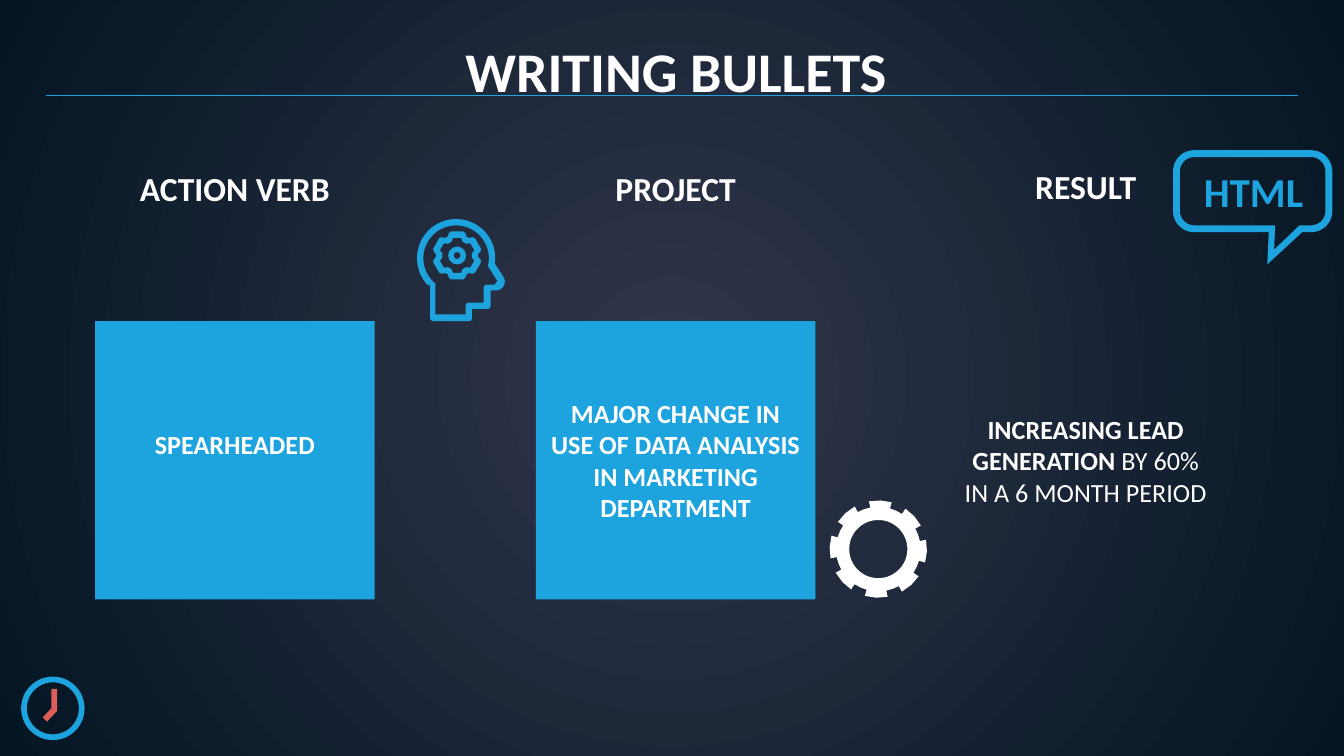
"""Build the slide on the three parts of a well written bullet."""
import math

import pptx
import pptx.dml.color
import pptx.enum.shapes
import pptx.enum.text
import pptx.oxml
import pptx.oxml.ns
import pptx.util

Cm = pptx.util.Cm
Shape = pptx.enum.shapes.MSO_SHAPE
Anchor = pptx.enum.text.MSO_ANCHOR

THEME = {
    "font": "Calibri",
    "glow": "32374C", "night": "041523",
    "accent": "1DA3DD", "hand": "DC5D59", "light": "FFFFFF",
    "title": 30, "tag": 22, "heading": 18, "body": 14, "rule": 0.75,
}

TITLE = "WRITING BULLETS"
TAG = "HTML"
COLUMNS = [
    {"heading": "ACTION VERB", "left": 1.8, "heading_top": 3.66, "fill": "accent",
     "body": [("SPEARHEADED", True)], "lift": 0.6},
    {"heading": "PROJECT", "left": 10.13, "heading_top": 3.66, "fill": "accent",
     "body": [("MAJOR CHANGE IN USE OF DATA ANALYSIS IN MARKETING DEPARTMENT", True)], "lift": 0},
    {"heading": "RESULT", "left": 17.88, "heading_top": 3.61, "fill": None,
     "body": [("INCREASING LEAD GENERATION ", True), ("BY 60% IN A 6 MONTH PERIOD", False)], "lift": 0},
]
BOX_TOP, BOX_WIDTH, BOX_HEIGHT, HEADING_HEIGHT = 6.07, 5.28, 5.26, 0.53
INSET = 0.25

# Outlines mix points (x, y) with arcs (x, y, radius, from, to), clockwise from the top.
CLOCK_HAND = [(0.97, 13.02), (0.97, 13.39), (0.81, 13.56), (0.89, 13.64), (1.08, 13.44), (1.08, 13.02)]
HEAD_OUTER = [
    (8.62, 4.88, 0.74, -134, 98), (9.37, 5.32, 0.17, 65, 180), (9.27, 5.49),
    (9.21, 5.78, 0.06, 90, 180), (8.92, 5.84), (8.86, 6.01, 0.06, 90, 180),
    (8.19, 6.01, 0.06, 180, 270), (8.13, 5.38),
]
HEAD_INNER = [
    (8.62, 4.88, 0.62, -135, 104), (9.4, 5.31), (9.35, 5.38),
    (9.2, 5.44, 0.06, 0, -90), (9.14, 5.72), (8.86, 5.78, 0.06, 0, -90),
    (8.8, 5.94), (8.23, 5.94), (8.23, 5.36),
]
BUBBLE = {"left": 22.57, "right": 24.78, "top": 3.24, "bottom": 3.99}
BUBBLE_EDGES = [
    (0.4, [(24.61, 4.39), (23.95, 5.0), (23.98, 4.39)]),
    (0.27, [(24.56, 4.26), (24.08, 4.72), (24.1, 4.26)]),
]
BRAIN_CENTRE, COG_CENTRE = (8.64, 4.83), (16.6, 10.38)
BRAIN_OUTER = [(-26, 0.4), (-20, 0.45), (-14.5, 0.47), (14.5, 0.47), (20, 0.45), (26, 0.4)]
BRAIN_INNER = [(-22, 0.28), (-13, 0.34), (13, 0.34), (22, 0.28)]
COG_TEETH = [(-11, 0.8), (-11, 0.92), (2.5, 0.92), (16, 0.92), (16, 0.8), (25, 0.8)]
COG_HOLE = [(0, 0.55)]


def rgb(role):
    return pptx.dml.color.RGBColor.from_string(THEME[role])


def apply(target, formats):
    for key, value in formats.items():
        setattr(target, key, value)


def polar(centre, radius, angle):
    turn = math.radians(angle)
    return centre[0] + radius * math.sin(turn), centre[1] - radius * math.cos(turn)


def trace(outline):
    points = []
    for part in outline:
        if len(part) == 2:
            points.append(part)
            continue
        x, y, radius, start, end = part
        steps = max(6, round(abs(end - start) / 6))
        points += [polar((x, y), radius, start + (end - start) * i / steps) for i in range(steps + 1)]
    return points


def ring(centre, count, profile):
    return [polar(centre, radius, angle + 360 * i / count)
            for i in range(count) for angle, radius in profile]


def bubble_outline(radius, tail):
    left, right, top, bottom = (BUBBLE[side] for side in ("left", "right", "top", "bottom"))
    return [(right, top, radius, 0, 90), (right, bottom, radius, 90, 180), *tail,
            (left, bottom, radius, 180, 270), (left, top, radius, 270, 360)]


def paint(shape, role):
    shape.shadow.inherit = False
    shape.fill.solid()
    shape.fill.fore_color.rgb = rgb(role)
    shape.line.fill.background()


def add_outline(shapes, contours, role):
    builder = None
    for contour in contours:
        points = [(Cm(x), Cm(y)) for x, y in contour]
        if builder is None:
            builder = shapes.build_freeform(*points[0], scale=1.0)
        else:
            builder.move_to(*points[0])
        builder.add_line_segments(points[1:], close=True)
    paint(builder.convert_to_shape(), role)


def add_donut(shapes, left, top, size, band, role):
    donut = shapes.add_shape(Shape.DONUT, *map(Cm, (left, top, size, size)))
    donut.adjustments[0] = band
    paint(donut, role)


def write(shape, runs, size, role="light", anchor=Anchor.MIDDLE, lift=0):
    frame = shape.text_frame
    apply(frame, {"word_wrap": True, "vertical_anchor": anchor,
                  "margin_top": Cm(INSET), "margin_bottom": Cm(INSET + lift)})
    paragraph = frame.paragraphs[0]
    paragraph.alignment = pptx.enum.text.PP_ALIGN.CENTER
    for words, bold in runs:
        run = paragraph.add_run()
        run.text = words
        apply(run.font, {"name": THEME["font"], "size": pptx.util.Pt(THEME[size]), "bold": bold})
        run.font.color.rgb = rgb(role)


def add_background(slide):
    fill = slide.background.fill
    fill.gradient()
    for stop, role in zip(fill.gradient_stops, ("glow", "night")):
        stop.color.rgb = rgb(role)
    linear = slide.element.find(".//" + pptx.oxml.ns.qn("a:lin"))
    linear.getparent().replace(linear, pptx.oxml.parse_xml(
        f'<a:path {pptx.oxml.ns.nsdecls("a")} path="circle">'
        '<a:fillToRect l="50000" t="50000" r="50000" b="50000"/></a:path>'))


def add_rule(shapes):
    rule = shapes.add_connector(pptx.enum.shapes.MSO_CONNECTOR.STRAIGHT,
                                *map(Cm, (0.86, 1.8, 24.54, 1.8)))
    rule.line.color.rgb = rgb("accent")
    rule.line.width = pptx.util.Pt(THEME["rule"])
    rule.element.spPr.append(pptx.oxml.parse_xml(f'<a:effectLst {pptx.oxml.ns.nsdecls("a")}/>'))


def add_column(shapes, column):
    heading = shapes.add_textbox(*map(Cm, (column["left"], column["heading_top"], BOX_WIDTH, HEADING_HEIGHT)))
    write(heading, [(column["heading"], True)], "heading", anchor=Anchor.BOTTOM)
    place = list(map(Cm, (column["left"], BOX_TOP, BOX_WIDTH, BOX_HEIGHT)))
    if column["fill"]:
        body = shapes.add_shape(Shape.RECTANGLE, *place)
        paint(body, column["fill"])
    else:
        body = shapes.add_textbox(*place)
    write(body, column["body"], "body", lift=column["lift"])


def main():
    deck = pptx.Presentation()
    apply(deck, {"slide_width": Cm(25.4), "slide_height": Cm(14.29)})
    slide = deck.slides.add_slide(deck.slide_layouts[6])
    shapes = slide.shapes
    add_background(slide)
    write(shapes.add_textbox(*map(Cm, (0.08, 0.08, 25.4, 2.51))), [(TITLE, True)], "title")
    add_donut(shapes, 0.4, 12.79, 1.2, 0.09, "accent")
    add_outline(shapes, [CLOCK_HAND], "hand")
    add_outline(shapes, [trace(HEAD_OUTER), trace(HEAD_INNER)], "accent")
    add_outline(shapes, [ring(BRAIN_CENTRE, 6, BRAIN_OUTER), ring(BRAIN_CENTRE, 6, BRAIN_INNER)], "accent")
    add_donut(shapes, 8.47, 4.66, 0.34, 0.31, "accent")
    add_outline(shapes, [ring(COG_CENTRE, 8, COG_TEETH), ring(COG_CENTRE, 60, COG_HOLE)], "light")
    add_rule(shapes)
    for column in COLUMNS:
        add_column(shapes, column)
    add_outline(shapes, [trace(bubble_outline(*edge)) for edge in BUBBLE_EDGES], "accent")
    write(shapes.add_textbox(*map(Cm, (22.38, 3.02, 2.62, 1.19))), [(TAG, True)], "tag", "accent")
    deck.save("out.pptx")


if __name__ == "__main__":
    main()
